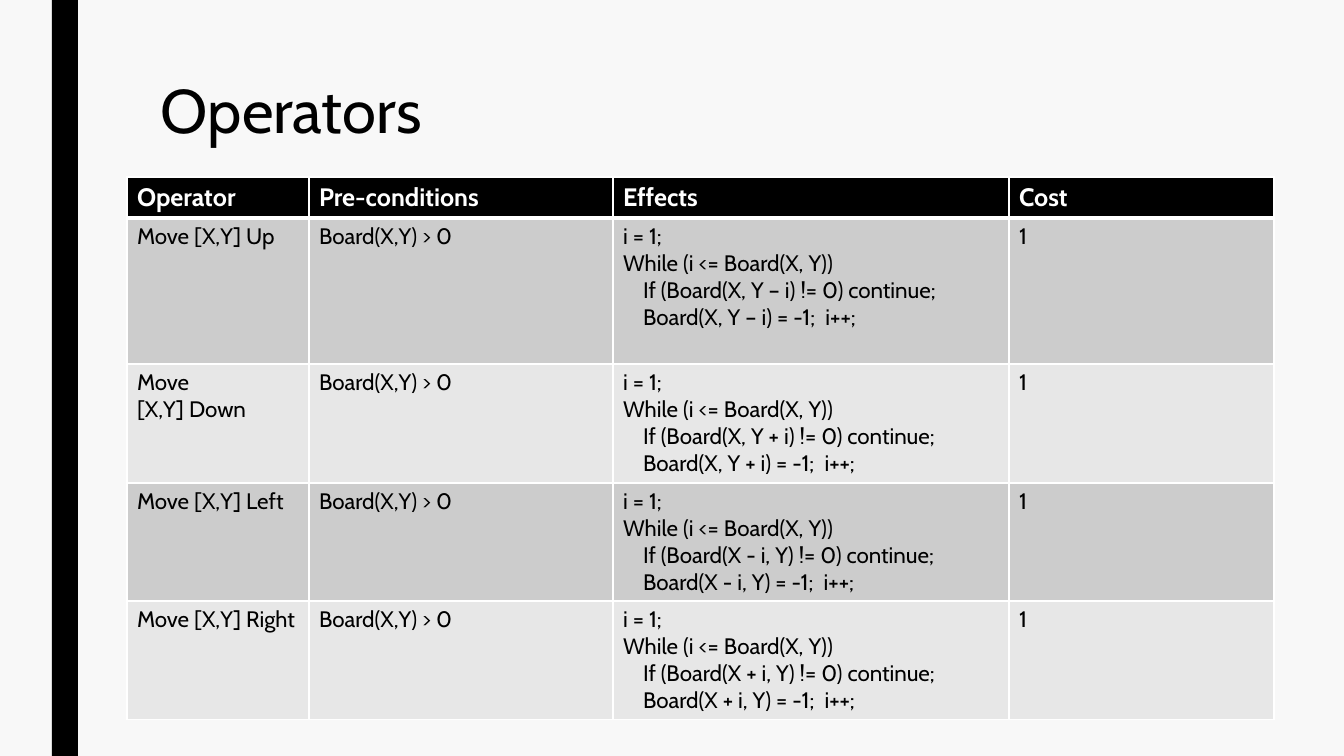
from lxml import etree
from pptx import Presentation
from pptx import util as u
from pptx.dml.color import RGBColor
from pptx.enum import shapes, text
from pptx.oxml import ns

SCALE = 914400 / 100.8
FONT = "Cabin"
HEX = {"back": "F8F8F8", "ink": "000000", "white": "FFFFFF",
       "dark": "CCCCCC", "light": "E7E7E7"}
HEADS = ["Operator", "Pre-conditions", "Effects", "Cost"]
MOVES = [("Up", "X, Y – i"), ("Down", "X, Y + i"),
         ("Left", "X - i, Y"), ("Right", "X + i, Y")]
COLS = [182, 304, 396, 265]
ROWS = [41, 146, 119, 118, 119]
INDENT = 20


def px(n):
    return u.Emu(round(n * SCALE))


def rgb(name):
    return RGBColor.from_string(HEX[name])


def paint(fill, name):
    fill.solid()
    fill.fore_color.rgb = rgb(name)


def add_run(para, words, size, color, bold=False):
    run = para.add_run()
    run.text = words
    font = run.font
    font.name, font.size, font.bold = FONT, u.Pt(size), bold
    font.color.rgb = rgb(color)


def add_bar(slide, box):
    bar = slide.shapes.add_shape(shapes.MSO_SHAPE.RECTANGLE, *map(px, box))
    bar.shadow.inherit = False
    paint(bar.fill, "ink")
    bar.line.fill.background()


def add_title(slide, box):
    frame = slide.shapes.add_textbox(*map(px, box)).text_frame
    frame.word_wrap = True
    frame.vertical_anchor = text.MSO_ANCHOR.TOP
    para = frame.paragraphs[0]
    para.line_spacing = 0.89
    add_run(para, "Operators", 44, "ink")


def add_edges(cell, top, base):
    props = cell._tc.get_or_add_tcPr()
    sides = [("lnL", 1), ("lnR", 1), ("lnT", top), ("lnB", base)]
    for spot, (side, width) in enumerate(sides):
        line = etree.Element(ns.qn("a:" + side), w=str(u.Pt(width)))
        fill = etree.SubElement(line, ns.qn("a:solidFill"))
        etree.SubElement(fill, ns.qn("a:srgbClr"), val=HEX["white"])
        props.insert(spot, line)


def fill_cell(cell, lines, size, color, back, bold, top, base):
    paint(cell.fill, back)
    add_edges(cell, top, base)
    frame = cell.text_frame
    for spot, (words, level) in enumerate(lines):
        para = frame.add_paragraph() if spot else frame.paragraphs[0]
        if level:
            para._p.get_or_add_pPr().set("marL", str(px(INDENT * level)))
        add_run(para, words, size, color, bold)


def move_row(way, goal):
    steps = [("i = 1;", 0), ("While (i <= Board(X, Y))", 0),
             (f"If (Board({goal}) != 0) continue;", 1),
             (f"Board({goal}) = -1;\u00a0 i++;", 1)]
    return [[(f"Move [X,Y]\u00a0{way}", 0)], [("Board(X,Y) > 0", 0)],
            steps, [("1", 0)]]


def add_grid(slide, left, top):
    box = map(px, (left, top, sum(COLS), sum(ROWS)))
    table = slide.shapes.add_table(len(ROWS), len(COLS), *box).table
    for col, width in zip(table.columns, COLS):
        col.width = px(width)
    for row, height in zip(table.rows, ROWS):
        row.height = px(height)
    data = [[[(head, 0)] for head in HEADS]]
    data += [move_row(*move) for move in MOVES]
    for r, row in enumerate(data):
        if r == 0:
            style = (18, "white", "ink", True, 1, 3)
        else:
            back = "dark" if r % 2 else "light"
            style = (16, "ink", back, False, 3 if r == 1 else 1, 1)
        for c, lines in enumerate(row):
            fill_cell(table.cell(r, c), lines, *style)


def main():
    deck = Presentation()
    deck.slide_width, deck.slide_height = px(1344), px(756)
    slide = deck.slides.add_slide(deck.slide_layouts[6])
    paint(slide.background.fill, "back")
    add_bar(slide, (52, 0, 26, 756))
    add_title(slide, (151, 76, 1058, 163))
    add_grid(slide, 127, 177)
    deck.save("out.pptx")


main()
